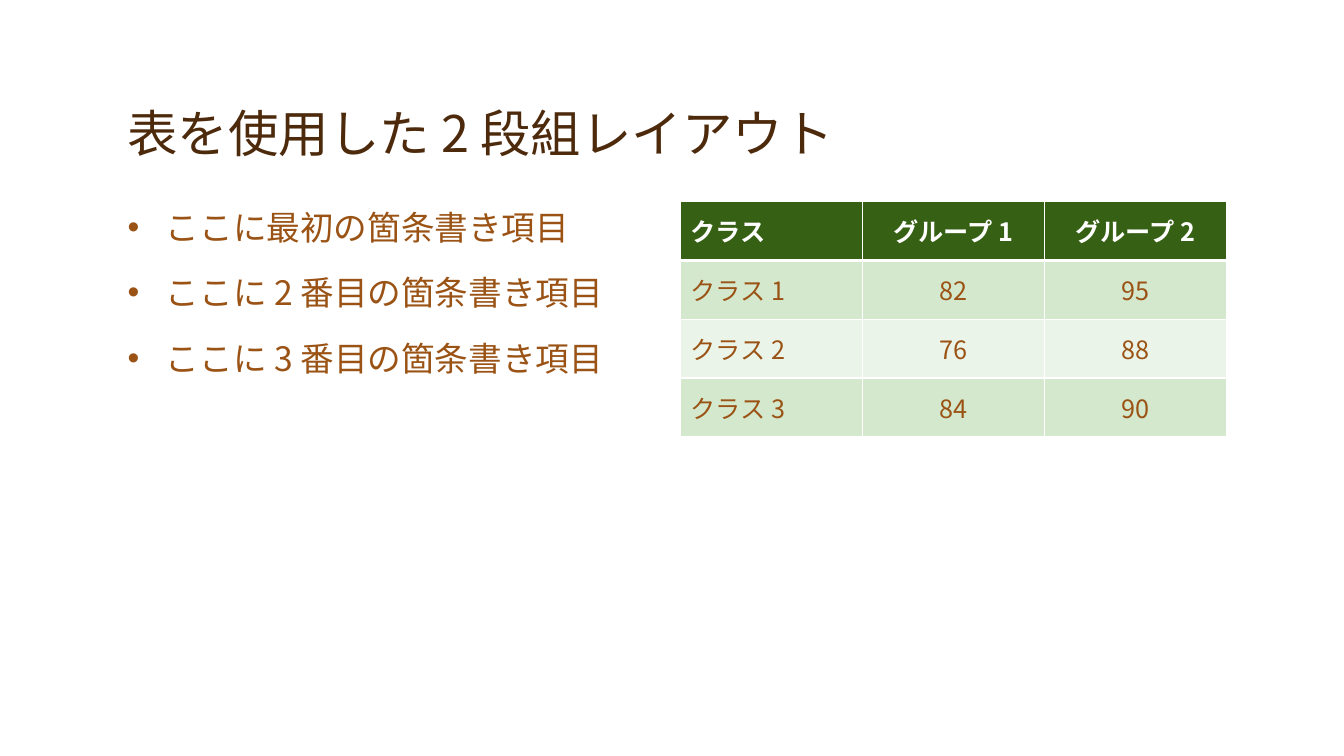
from dataclasses import dataclass

from lxml.etree import SubElement
from pptx import Presentation
from pptx.dml.color import RGBColor
from pptx.enum.text import MSO_ANCHOR, PP_ALIGN
from pptx.oxml.ns import qn
from pptx.slide import Slide
from pptx.table import _Cell
from pptx.text.text import TextFrame, _Paragraph
from pptx.util import Emu, Inches, Pt

FONT = "Noto Sans CJK JP"
DARK_BROWN = RGBColor(0x4D, 0x2A, 0x0B)
BROWN = RGBColor(0x9A, 0x53, 0x15)
WHITE = RGBColor(0xFF, 0xFF, 0xFF)
DARK_GREEN = RGBColor(0x36, 0x60, 0x13)
GREEN = RGBColor(0xD4, 0xE8, 0xCD)
PALE_GREEN = RGBColor(0xEB, 0xF4, 0xE8)

SLIDE_WIDTH = Inches(13.33)
SLIDE_HEIGHT = Inches(7.5)
GRID_COLUMNS = 80
GRID_ROWS = 45

TITLE = "表を使用した 2 段組レイアウト"
BULLETS = [
    "ここに最初の箇条書き項目",
    "ここに 2 番目の箇条書き項目",
    "ここに 3 番目の箇条書き項目",
]
SCORES = [
    ["クラス", "グループ 1", "グループ 2"],
    ["クラス 1", "82", "95"],
    ["クラス 2", "76", "88"],
    ["クラス 3", "84", "90"],
]


@dataclass(frozen=True)
class Area:
    column: float
    row: float
    columns: float
    rows: float

    def box(self) -> tuple[Emu, Emu, Emu, Emu]:
        column_width = SLIDE_WIDTH / GRID_COLUMNS
        row_height = SLIDE_HEIGHT / GRID_ROWS
        return (
            Emu(round(self.column * column_width)),
            Emu(round(self.row * row_height)),
            Emu(round(self.columns * column_width)),
            Emu(round(self.rows * row_height)),
        )


@dataclass(frozen=True)
class TextStyle:
    size: float
    color: RGBColor
    bold: bool = False


TITLE_AREA = Area(7, 2, 66, 8)
BULLET_AREA = Area(7, 12, 32.5, 27.5)
TABLE_AREA = Area(40.5, 12, 32.5, 14)

TITLE_STYLE = TextStyle(36, DARK_BROWN)
BULLET_STYLE = TextStyle(24, BROWN)
HEADER_STYLE = TextStyle(18, WHITE, True)
VALUE_STYLE = TextStyle(18, BROWN)


def format_paragraph(paragraph: _Paragraph, style: TextStyle) -> None:
    for run in paragraph.runs:
        run.font.name = FONT
        run.font.size = Pt(style.size)
        run.font.bold = style.bold
        run.font.color.rgb = style.color
        SubElement(run.font._element, qn("a:ea"), typeface=FONT)


def add_text(slide: Slide, area: Area, text: str, style: TextStyle) -> TextFrame:
    text_frame = slide.shapes.add_textbox(*area.box()).text_frame
    text_frame.word_wrap = True
    text_frame.text = text
    for paragraph in text_frame.paragraphs:
        format_paragraph(paragraph, style)
    return text_frame


def add_title(slide: Slide) -> None:
    text_frame = add_text(slide, TITLE_AREA, TITLE, TITLE_STYLE)
    text_frame.vertical_anchor = MSO_ANCHOR.BOTTOM
    text_frame.paragraphs[0].line_spacing = 0.9


def add_bullets(slide: Slide) -> None:
    text_frame = add_text(slide, BULLET_AREA, "\n".join(BULLETS), BULLET_STYLE)
    indent = Inches(0.38)
    for paragraph in text_frame.paragraphs:
        paragraph.space_before = Pt(18)
        properties = paragraph._p.get_or_add_pPr()
        properties.set("marL", str(indent))
        properties.set("indent", str(-indent))
        SubElement(properties, qn("a:buFont"), typeface="Arial")
        SubElement(properties, qn("a:buChar"), char="•")


def set_borders(cell: _Cell, top: float, bottom: float) -> None:
    properties = cell._tc.get_or_add_tcPr()
    widths = {"lnL": 1, "lnR": 1, "lnT": top, "lnB": bottom}
    for position, (side, width) in enumerate(widths.items()):
        line = SubElement(properties, qn(f"a:{side}"), w=str(Pt(width)))
        fill = SubElement(line, qn("a:solidFill"))
        SubElement(fill, qn("a:srgbClr"), val=str(WHITE))
        properties.insert(position, line)


def add_scores(slide: Slide) -> None:
    frame = slide.shapes.add_table(len(SCORES), len(SCORES[0]), *TABLE_AREA.box())
    for row, texts in enumerate(SCORES):
        is_header = row == 0
        band = GREEN if row % 2 else PALE_GREEN
        for column, text in enumerate(texts):
            cell = frame.table.cell(row, column)
            cell.text_frame.text = text
            cell.vertical_anchor = MSO_ANCHOR.MIDDLE
            cell.fill.solid()
            cell.fill.fore_color.rgb = DARK_GREEN if is_header else band
            paragraph = cell.text_frame.paragraphs[0]
            paragraph.alignment = PP_ALIGN.CENTER if column else PP_ALIGN.LEFT
            format_paragraph(paragraph, HEADER_STYLE if is_header else VALUE_STYLE)
            set_borders(cell, 3 if row == 1 else 1, 3 if is_header else 1)


def main() -> None:
    presentation = Presentation()
    presentation.slide_width = SLIDE_WIDTH
    presentation.slide_height = SLIDE_HEIGHT
    slide = presentation.slides.add_slide(presentation.slide_layouts[6])
    add_title(slide)
    add_bullets(slide)
    add_scores(slide)
    presentation.save("out.pptx")


if __name__ == "__main__":
    main()
